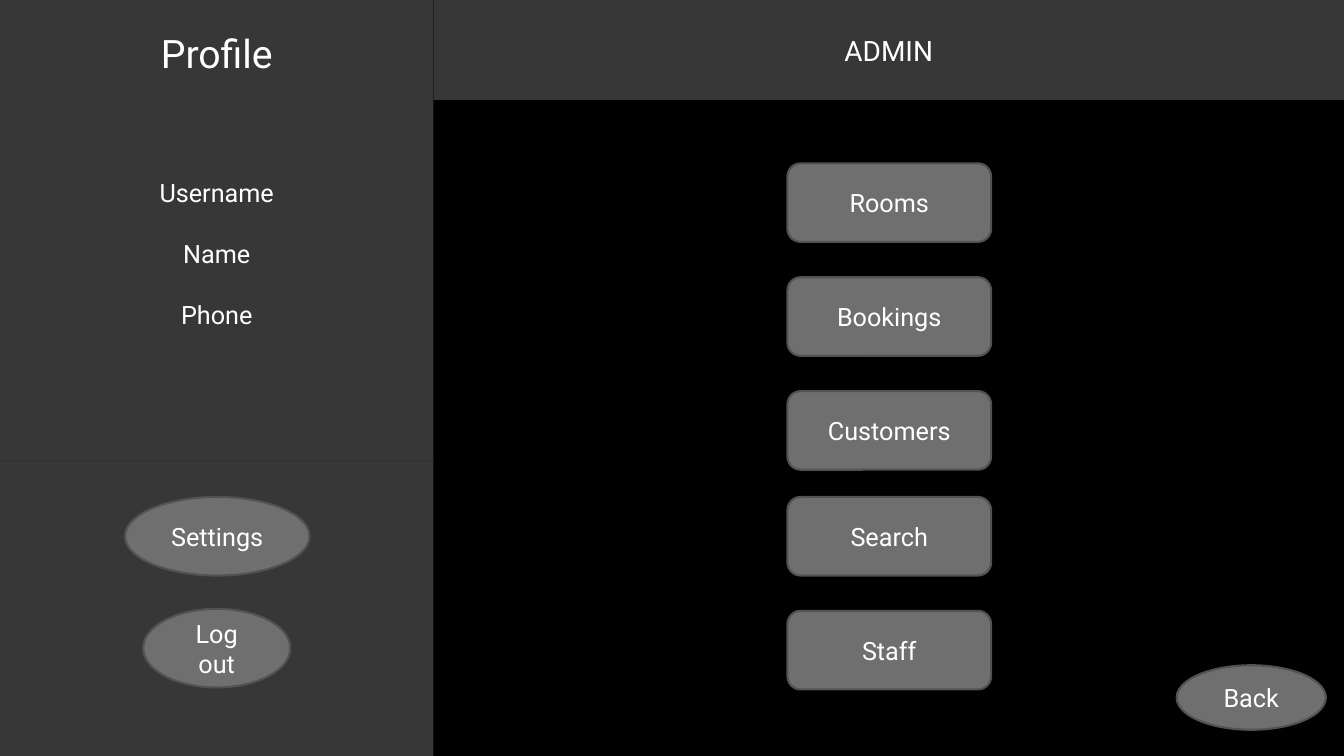
from lxml import etree
from pptx import Presentation
from pptx.dml.color import RGBColor
from pptx.enum.shapes import MSO_SHAPE
from pptx.enum.text import MSO_ANCHOR, PP_ALIGN
from pptx.oxml.ns import qn
from pptx.util import Inches, Pt

RECTANGLE = MSO_SHAPE.RECTANGLE
ROUNDED = MSO_SHAPE.ROUNDED_RECTANGLE
OVAL = MSO_SHAPE.OVAL
MIDDLE = MSO_ANCHOR.MIDDLE
CENTER = PP_ALIGN.CENTER

BLACK = RGBColor(0x00, 0x00, 0x00)
GREY = RGBColor(0x6F, 0x6F, 0x6F)
OUTLINE = RGBColor(0x52, 0x52, 0x52)
WHITE = RGBColor(0xFF, 0xFF, 0xFF)
FONT = "Roboto"

SIDEBAR_WIDTH = 4.3
BUTTON_HEIGHT = 0.78
MENU = [("Rooms", 1.62), ("Bookings", 2.75), ("Customers", 3.88),
        ("Search", 4.93), ("Staff", 6.06)]


def add_box(page, kind, left, top, width, height, lines, size):
    box = page.shapes.add_shape(kind, Inches(left), Inches(top),
                                Inches(width), Inches(height))
    box.shadow.inherit = False
    box.fill.solid()
    box.fill.fore_color.rgb = GREY
    frame = box.text_frame
    frame.word_wrap = True
    frame.vertical_anchor = MIDDLE
    for index, line in enumerate(lines):
        para = frame.add_paragraph() if index else frame.paragraphs[0]
        para.text = line
        para.alignment = CENTER
        para.font.name = FONT
        para.font.size = Pt(size)
        para.font.color.rgb = WHITE
        if index:
            para.space_before = Pt(22)
    return box


def add_panel(page, left, top, width, height, lines=(), size=18):
    panel = add_box(page, RECTANGLE, left, top, width, height, lines, size)
    panel.line.fill.background()
    color = panel.fill._xPr.find(qn("a:solidFill"))[0]
    etree.SubElement(color, qn("a:alpha"), val="50000")
    return panel


def add_button(page, kind, left, top, width, height, label):
    button = add_box(page, kind, left, top, width, height, [label], 18)
    button.line.color.rgb = OUTLINE
    button.line.width = Pt(1.5)


def main():
    deck = Presentation()
    deck.slide_width = Inches(13.33)
    deck.slide_height = Inches(7.5)
    page = deck.slides.add_slide(deck.slide_layouts[6])
    page.background.fill.solid()
    page.background.fill.fore_color.rgb = BLACK

    add_panel(page, 0, 4.57, SIDEBAR_WIDTH, 2.93)
    add_panel(page, 0, 0, SIDEBAR_WIDTH, 1.05, ["Profile"], 28)
    details = add_panel(page, 0, 1.05, SIDEBAR_WIDTH, 3.52,
                        ["Username", "Name", "Phone"])
    details.text_frame.margin_bottom = Inches(0.65)
    add_panel(page, SIDEBAR_WIDTH, 0, 9.03, 0.99, ["ADMIN"], 20)

    add_button(page, OVAL, 1.24, 4.93, 1.83, BUTTON_HEIGHT, "Settings")
    add_button(page, OVAL, 1.42, 6.04, 1.46, BUTTON_HEIGHT, "Log out")
    for label, top in MENU:
        add_button(page, ROUNDED, 7.81, top, 2.02, BUTTON_HEIGHT, label)
    add_button(page, OVAL, 11.67, 6.6, 1.48, 0.64, "Back")

    deck.save("out.pptx")


if __name__ == "__main__":
    main()
